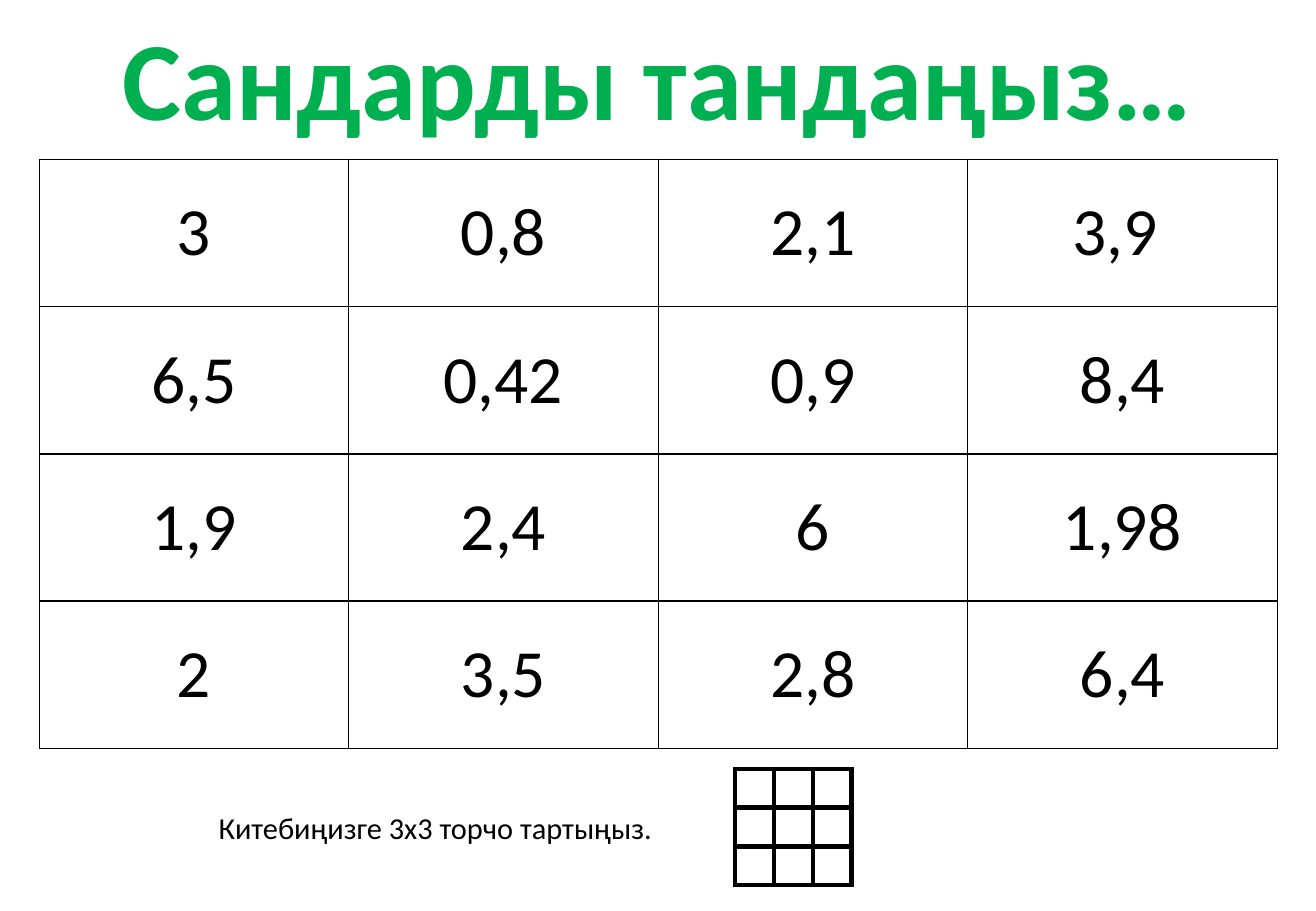
from lxml import etree
from pptx import Presentation
from pptx.dml.color import RGBColor
from pptx.enum.text import MSO_ANCHOR, MSO_AUTO_SIZE, PP_ALIGN
from pptx.oxml import parse_xml
from pptx.oxml.ns import nsdecls, qn
from pptx.util import Cm, Pt

BLACK = RGBColor(0x00, 0x00, 0x00)
WHITE = RGBColor(0xFF, 0xFF, 0xFF)
GREEN = RGBColor(0x00, 0xB0, 0x50)
FONT = "Calibri"
CENTER = PP_ALIGN.CENTER
MIDDLE = MSO_ANCHOR.MIDDLE
FIT_SHAPE = MSO_AUTO_SIZE.SHAPE_TO_FIT_TEXT
TITLE_ONLY = 5

NUMBERS = [
    ["3", "0,8", "2,1", "3,9 "],
    ["6,5", "0,42", "0,9", "8,4"],
    ["1,9", "2,4", "6", "1,98"],
    ["2", "3,5", "2,8", "6,4"],
]
EMPTY_GRID = [[""] * 3 for _ in range(3)]


def line_xml(tag, width):
    return parse_xml(
        f'<a:{tag} {nsdecls("a")} w="{Pt(width)}"><a:solidFill>'
        f'<a:srgbClr val="{BLACK}"/></a:solidFill></a:{tag}>'
    )


def add_run(paragraph, text, size, color=BLACK, bold=False):
    run = paragraph.add_run()
    run.text = text
    run.font.name = FONT
    run.font.size = Pt(size)
    run.font.bold = bold
    run.font.color.rgb = color
    return run


def place(shape, left, top, width, height):
    shape.left, shape.top = Cm(left), Cm(top)
    shape.width, shape.height = Cm(width), Cm(height)


def add_title(slide, text):
    title = slide.shapes.title
    place(title, 2.01, 0.05, 23.47, 3.07)
    frame = title.text_frame
    frame.word_wrap = False
    frame.auto_size = FIT_SHAPE
    paragraph = frame.paragraphs[0]
    paragraph.alignment = CENTER
    run = add_run(paragraph, text, 66, GREEN, bold=True)
    run.font._element.insert(0, line_xml("ln", 0.75))


def format_cell(cell, text, border_width):
    cell.margin_left = cell.margin_right = 0
    cell.margin_top = cell.margin_bottom = 0
    cell.vertical_anchor = MIDDLE
    properties = cell._tc.get_or_add_tcPr()
    for tag in ("lnL", "lnR", "lnT", "lnB"):
        properties.append(line_xml(tag, border_width))
    cell.fill.solid()
    cell.fill.fore_color.rgb = WHITE
    paragraph = cell.text_frame.paragraphs[0]
    paragraph.alignment = CENTER
    if text:
        add_run(paragraph, text, 40)
    else:
        # A small end mark keeps empty rows from growing.
        etree.SubElement(paragraph._p, qn("a:endParaRPr"), sz="800")


def add_grid(slide, rows, left, top, cell_width, cell_height, border_width):
    row_count, column_count = len(rows), len(rows[0])
    table = slide.shapes.add_table(
        row_count, column_count, Cm(left), Cm(top),
        Cm(cell_width * column_count), Cm(cell_height * row_count),
    ).table
    table.first_row = False
    table.horz_banding = False
    for column in table.columns:
        column.width = Cm(cell_width)
    for row, texts in zip(table.rows, rows):
        row.height = Cm(cell_height)
        for cell, text in zip(row.cells, texts):
            format_cell(cell, text, border_width)


def add_caption(slide, text):
    caption = slide.shapes.add_textbox(Cm(4.32), Cm(16.79), Cm(9.68), Cm(1.02))
    frame = caption.text_frame
    frame.word_wrap = False
    frame.auto_size = FIT_SHAPE
    add_run(frame.paragraphs[0], text, 18)


def main():
    presentation = Presentation()
    presentation.slide_width = Cm(27.51)
    presentation.slide_height = Cm(19.05)
    slide = presentation.slides.add_slide(presentation.slide_layouts[TITLE_ONLY])
    add_title(slide, "Сандарды тандаңыз…")
    add_grid(slide, NUMBERS, 0.82, 3.33, 6.47, 3.08, border_width=1)
    add_grid(slide, EMPTY_GRID, 15.37, 16.08, 0.81, 0.81, border_width=3)
    add_caption(slide, "Китебиңизге 3х3 торчо тартыңыз.")
    presentation.save("out.pptx")


if __name__ == "__main__":
    main()
